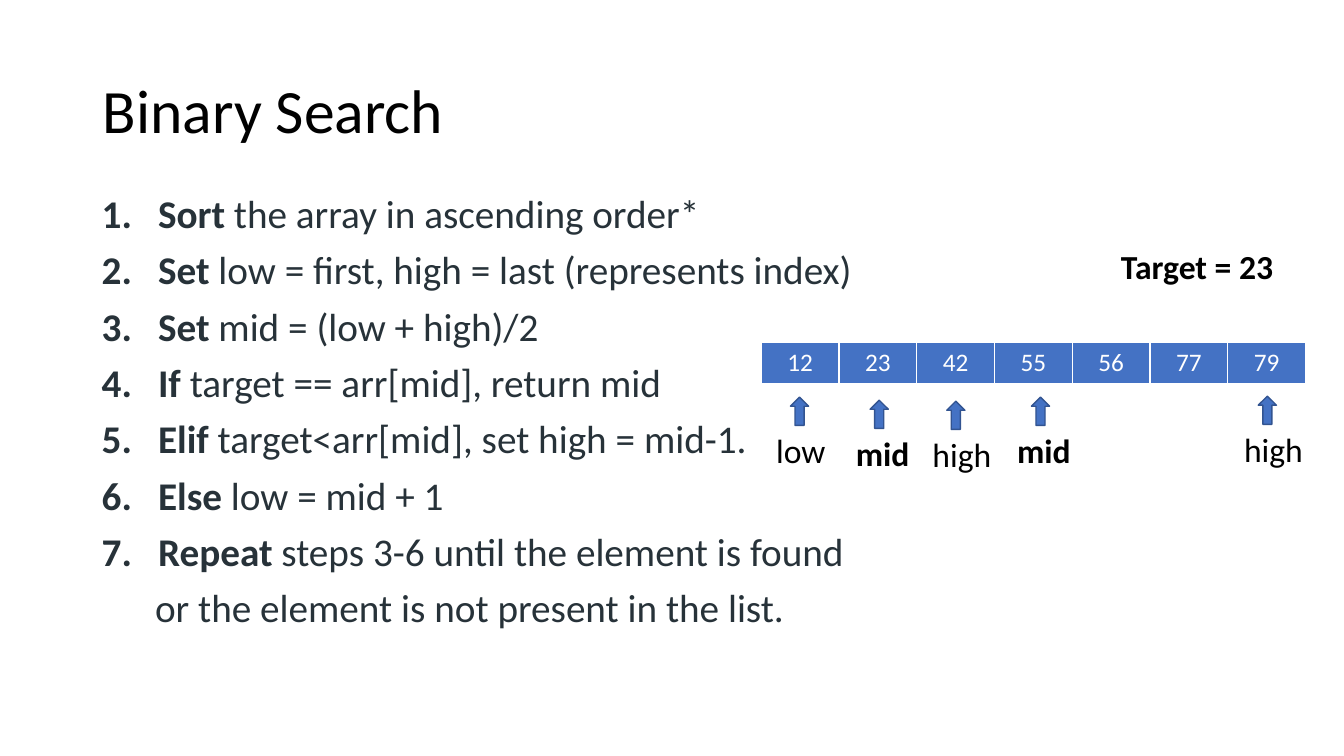
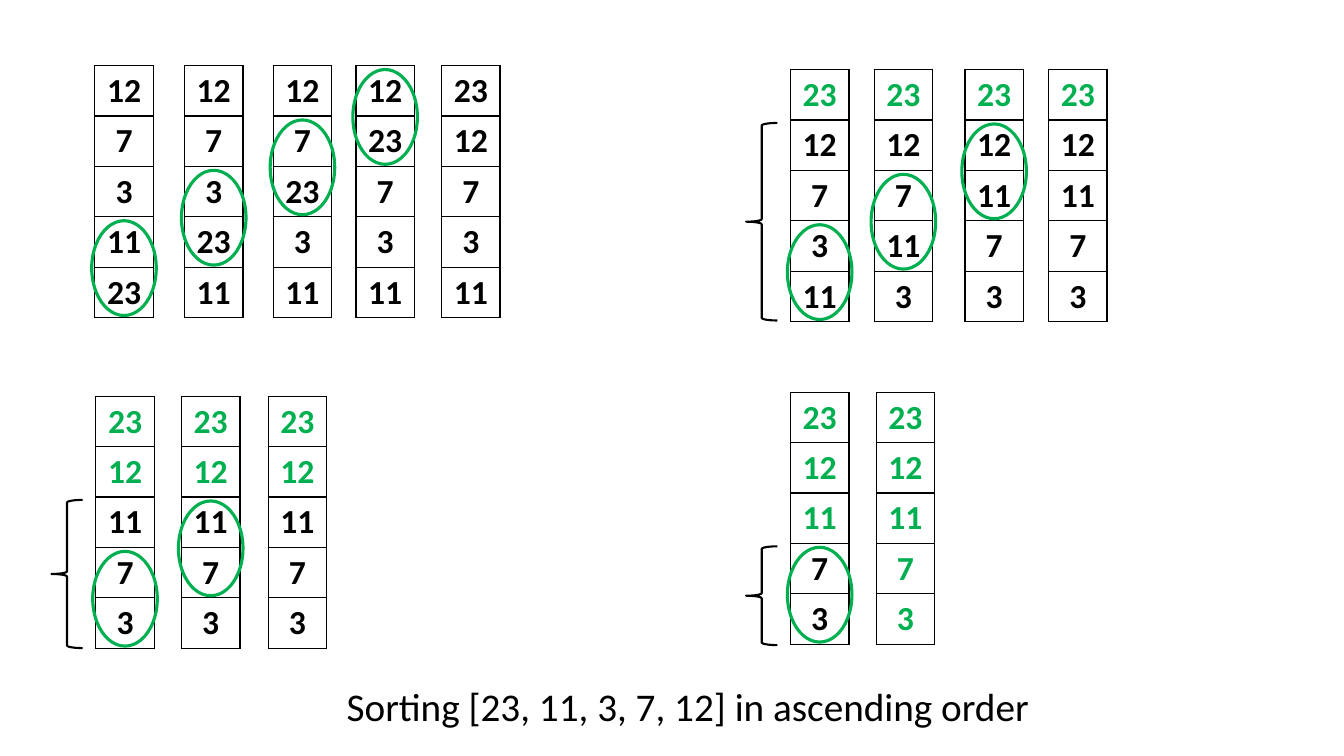
from lxml.etree import SubElement
from pptx import Presentation
from pptx.dml.color import RGBColor
from pptx.enum.shapes import MSO_SHAPE
from pptx.enum.text import MSO_ANCHOR, PP_ALIGN
from pptx.oxml.ns import qn
from pptx.util import Inches, Pt

BLACK = RGBColor(0x00, 0x00, 0x00)
WHITE = RGBColor(0xFF, 0xFF, 0xFF)
SLATE = RGBColor(0x27, 0x32, 0x39)
BLUE = RGBColor(0x44, 0x72, 0xC4)
NAVY = RGBColor(0x32, 0x54, 0x91)
GREEN = RGBColor(0x00, 0xB0, 0x50)

STEPS = [
    ("Sort", " the array in ascending order*"),
    ("Set", " low = first, high = last (represents index)"),
    ("Set", " mid = (low + high)/2"),
    ("If ", "target == arr[mid], return mid"),
    ("Elif", " target<arr[mid], set high = mid-1."),
    ("Else", " low = mid + 1"),
    ("Repeat", " steps 3-6 until the element is found"),
]
TAIL = "or the element is not present in the list."

MARKS = [
    (7.84, 3.94, 0.69, "low", False),
    (12.48, 3.93, 0.81, "high", False),
    (10.23, 3.94, 0.74, "mid", True),
    (9.39, 3.98, 0.81, "high", False),
    (8.63, 3.97, 0.74, "mid", True),
]

PASSES = [
    (0.65, [0.94, 1.83, 2.71, 3.53, 4.38]),
    (0.69, [7.84, 8.67, 9.57, 10.4]),
    (3.93, [0.95, 1.8, 2.66]),
    (3.89, [7.84, 8.69]),
]
ROW = 0.5


class Deck:
    font = "Calibri"

    def __init__(self):
        self.prs = Presentation()
        self.prs.slide_width = Inches(13.33)
        self.prs.slide_height = Inches(7.5)
        self.slide = None

    def add(self, title=None):
        kind = 6 if title is None else 5
        self.slide = self.prs.slides.add_slide(self.prs.slide_layouts[kind])
        if title is not None:
            box = self.slide.shapes.title
            box.left, box.top = Inches(0.92), Inches(0.4)
            box.width, box.height = Inches(11.5), Inches(1.45)
            frame = box.text_frame
            frame.text = title
            frame.vertical_anchor = MSO_ANCHOR.MIDDLE
            para = frame.paragraphs[0]
            para.alignment = PP_ALIGN.LEFT
            para.line_spacing = 0.9
            self.style(para, 44)

    def style(self, para, size, color=BLACK, bold=False):
        for run in para.runs:
            run.font.name = self.font
            run.font.size = Pt(size)
            run.font.color.rgb = color
            run.font.bold = bold

    def text(self, x, y, w, h, words, size=24, bold=False):
        box = self.slide.shapes.add_textbox(*map(Inches, (x, y, w, h)))
        box.text_frame.text = words
        box.text_frame.word_wrap = False
        self.style(box.text_frame.paragraphs[0], size, bold=bold)

    def steps(self, x, y, w, h, items, tail):
        box = self.slide.shapes.add_textbox(*map(Inches, (x, y, w, h)))
        frame = box.text_frame
        frame.word_wrap = True
        for i, (head, rest) in enumerate(items):
            para = frame.add_paragraph() if i else frame.paragraphs[0]
            para.text = head
            para.add_run().text = rest
            self.space(para, 0.56, -0.56)
            props = para._p.get_or_add_pPr()
            SubElement(props, qn("a:buAutoNum")).set("type", "arabicPeriod")
            para.runs[0].font.bold = True
        para = frame.add_paragraph()
        para.text = tail
        self.space(para, 0.53, 0)

    def space(self, para, left, first):
        self.style(para, 28, SLATE)
        para.line_spacing = 0.9
        para.space_before = Pt(10)
        props = para._p.get_or_add_pPr()
        props.set("marL", str(Inches(left)))
        props.set("indent", str(Inches(first)))

    def table(self, x, y, w, h, rows, size, edge, fill=None, bold=False, tint=None):
        count = len(rows)
        wide = len(rows[0])
        frame = self.slide.shapes.add_table(count, wide, *map(Inches, (x, y, w, h)))
        grid = frame.table
        grid.first_row = grid.horz_banding = False
        for r, row in enumerate(rows):
            for c, value in enumerate(row):
                cell = grid.cell(r, c)
                cell.text = str(value)
                para = cell.text_frame.paragraphs[0]
                para.alignment = PP_ALIGN.CENTER
                self.style(para, size, tint(r), bold)
                self.edges(cell, edge)
                if fill is None:
                    cell.fill.background()
                else:
                    cell.fill.solid()
                    cell.fill.fore_color.rgb = fill

    def edges(self, cell, color):
        props = cell._tc.get_or_add_tcPr()
        for side in ("a:lnL", "a:lnR", "a:lnT", "a:lnB"):
            line = SubElement(props, qn(side), w=str(Pt(1)))
            solid = SubElement(line, qn("a:solidFill"))
            SubElement(solid, qn("a:srgbClr"), val=str(color))

    def shape(self, kind, x, y, w, h, line, width, fill=None):
        item = self.slide.shapes.add_shape(kind, *map(Inches, (x, y, w, h)))
        item.shadow.inherit = False
        item.line.color.rgb = line
        item.line.width = Pt(width)
        if fill is None:
            item.fill.background()
        else:
            item.fill.solid()
            item.fill.fore_color.rgb = fill

    def mark(self, x, y, w, label, bold):
        self.shape(MSO_SHAPE.UP_ARROW, x, y, 0.18, 0.28, NAVY, 1, BLUE)
        self.text(x - 0.24, y + 0.28, w, 0.5, label, bold=bold)

    def stack(self, x, y, values, done):
        self.table(x, y, 0.58, ROW * len(values), [[v] for v in values], 24,
                   BLACK, bold=True, tint=lambda r: GREEN if r < done else BLACK)

    def ring(self, x, y, row):
        self.shape(MSO_SHAPE.OVAL, x - 0.03, y + ROW * row + 0.04, 0.64, 0.94, GREEN, 2.25)

    def brace(self, x, y, done, size):
        self.shape(MSO_SHAPE.LEFT_BRACE, x - 0.44, y + ROW * done + 0.03, 0.31,
                   0.49 * (size - done), BLACK, 1.5)


def search(deck):
    deck.add("Binary Search")
    deck.steps(0.91, 1.88, 7.69, 5.04, STEPS, TAIL)
    deck.table(7.55, 3.4, 5.4, 0.41, [[12, 23, 42, 55, 56, 77, 79]], 18,
               WHITE, BLUE, tint=lambda r: WHITE)
    deck.text(11.02, 2.39, 1.73, 0.5, "Target = 23", bold=True)
    for mark in MARKS:
        deck.mark(*mark)


def bubble(deck):
    deck.add()
    values = [12, 7, 3, 11, 23]
    size = len(values)
    for done, (y, lefts) in enumerate(PASSES):
        if done:
            deck.brace(lefts[0], y, done, size)
        for i, x in enumerate(lefts[:-1]):
            row = size - 2 - i
            deck.stack(x, y, values, done)
            deck.ring(x, y, row)
            values[row:row + 2] = sorted(values[row:row + 2], reverse=True)
        last = done == len(PASSES) - 1
        deck.stack(lefts[-1], y, values, size if last else done)
    deck.text(3.34, 6.72, 7.06, 0.57, "Sorting [23, 11, 3, 7, 12] in ascending order", 28)


def main():
    deck = Deck()
    search(deck)
    bubble(deck)
    deck.prs.save("out.pptx")


if __name__ == "__main__":
    main()
